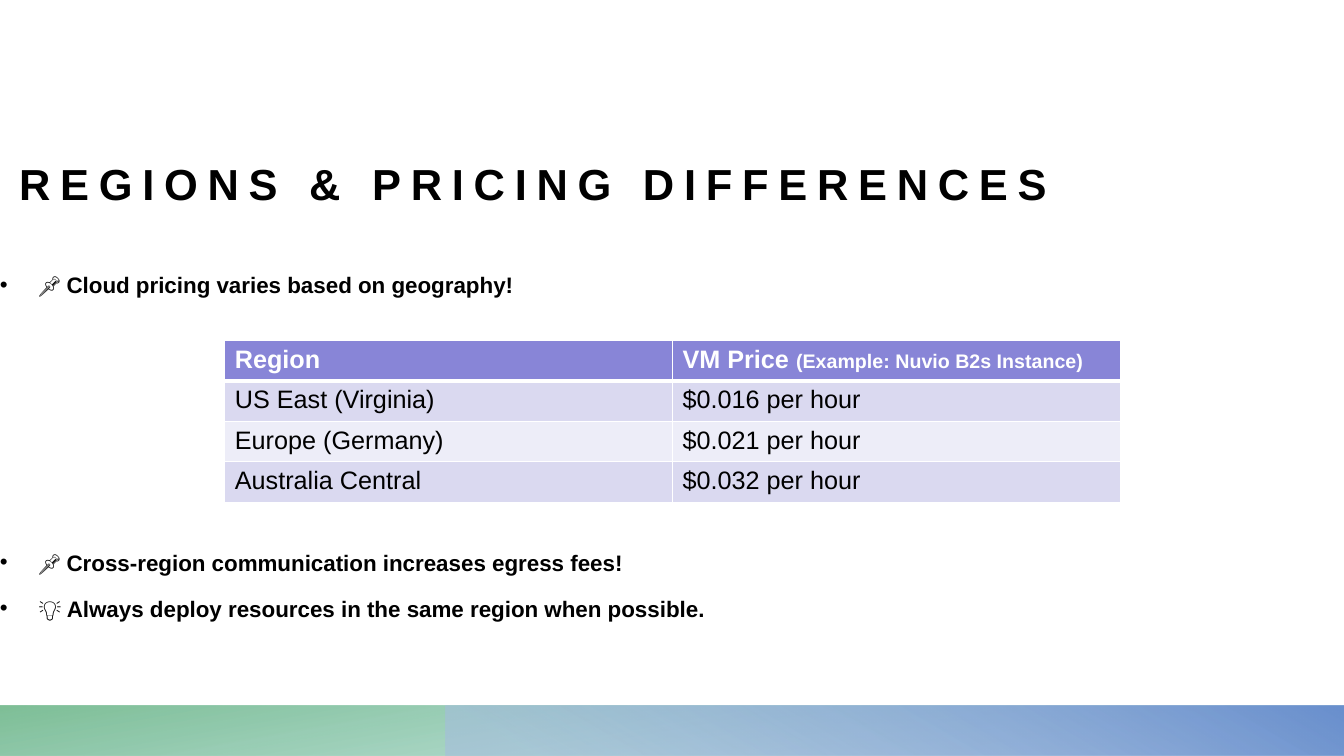
from pptx import Presentation
from pptx.dml.color import RGBColor
from pptx.enum.shapes import MSO_SHAPE
from pptx.enum.text import MSO_ANCHOR
from pptx.oxml.ns import qn
from pptx.util import Inches, Pt
from lxml.etree import SubElement

hues = {
    "black": "000000", "white": "FFFFFF", "head": "8885D7",
    "odd": "DAD9F0", "even": "EDEDF8", "teal": "5DB4A2",
    "green": "68B484", "pale": "A6BCE2", "blue": "6A90CE",
}


def write(para, text, size, hue, bold):
    run = para.add_run()
    run.text = text
    style = {"name": "Arial", "size": Pt(size), "bold": bold}
    for key, value in style.items():
        setattr(run.font, key, value)
    run.font.color.rgb = RGBColor.from_string(hues[hue])
    return run


def frame(left, top, width, height, anchor):
    text = slide.shapes.add_textbox(
        Inches(left), Inches(top), Inches(width), Inches(height)).text_frame
    style = {"word_wrap": True, "vertical_anchor": anchor, "margin_left": 0,
             "margin_top": 0, "margin_right": 0, "margin_bottom": 0}
    for key, value in style.items():
        setattr(text, key, value)
    return text


deck = Presentation()
deck.slide_width = Inches(13.33)
deck.slide_height = Inches(7.5)
slide = deck.slides.add_slide(deck.slide_layouts[6])

bands = [
    (0, 13.33, 180, 100, [("teal", 0.14, 28), ("green", 1, 85)]),
    (4.42, 8.91, 0, 240, [("pale", 0.09, 55), ("blue", 0.99, 100)]),
]
for left, width, turn, angle, stops in bands:
    band = slide.shapes.add_shape(
        MSO_SHAPE.RECTANGLE, Inches(left), Inches(7), Inches(width), Inches(0.5))
    band.shadow.inherit = False
    band.rotation = turn
    band.line.fill.background()
    band.fill.gradient()
    band.fill.gradient_angle = 360 - angle
    for stop, (hue, place, alpha) in zip(band.fill.gradient_stops, stops):
        stop.color.rgb = RGBColor.from_string(hues[hue])
        stop.position = place
    props = band._element.spPr
    props.find(qn("a:xfrm")).set("flipH", "1")
    for node, (hue, place, alpha) in zip(props.iter(qn("a:srgbClr")), stops):
        SubElement(node, qn("a:alpha")).set("val", str(alpha * 1000))

title = frame(0.19, 0.01, 13.14, 2.07, MSO_ANCHOR.BOTTOM)
run = write(title.paragraphs[0], "REGIONS & PRICING DIFFERENCES", 31, "black", True)
run.font._element.set("spc", "700")

notes = [
    (2.64, ["📌 Cloud pricing varies based on geography!"]),
    (5.39, ["📌 Cross-region communication increases egress fees!",
            "💡 Always deploy resources in the same region when possible."]),
]
for top, lines in notes:
    body = frame(0, top, 13.33, 0.46 * len(lines), MSO_ANCHOR.TOP)
    for row, line in enumerate(lines):
        para = body.add_paragraph() if row else body.paragraphs[0]
        para.line_spacing = 1.2
        para.space_before = Pt(10)
        props = para._p.get_or_add_pPr()
        props.set("marL", str(Inches(0.38)))
        props.set("indent", str(Inches(-0.38)))
        SubElement(props, qn("a:buFont")).set("typeface", "Arial")
        SubElement(props, qn("a:buChar")).set("char", "•")
        write(para, line, 16, "black", True)

prices = [
    ("Region", "VM Price "),
    ("US East (Virginia)", "$0.016 per hour"),
    ("Europe (Germany)", "$0.021 per hour"),
    ("Australia Central", "$0.032 per hour"),
]
table = slide.shapes.add_table(
    len(prices), 2, Inches(2.23), Inches(3.38), Inches(8.88), Inches(1.52)).table
for row, texts in enumerate(prices):
    fill = "head" if row == 0 else "odd" if row % 2 else "even"
    for col, text in enumerate(texts):
        cell = table.cell(row, col)
        props = cell._tc.get_or_add_tcPr()
        for side in "LRTB":
            thick = (row, side) in [(0, "B"), (1, "T")]
            edge = SubElement(props, qn("a:ln" + side))
            edge.set("w", str(Pt(3 if thick else 1)))
            paint = SubElement(edge, qn("a:solidFill"))
            SubElement(paint, qn("a:srgbClr")).set("val", hues["white"])
        cell.fill.solid()
        cell.fill.fore_color.rgb = RGBColor.from_string(hues[fill])
        write(cell.text_frame.paragraphs[0], text, 18,
              "black" if row else "white", row == 0)
write(table.cell(0, 1).text_frame.paragraphs[0],
      "(Example: Nuvio B2s Instance)", 14, "white", True)

deck.save("out.pptx")
